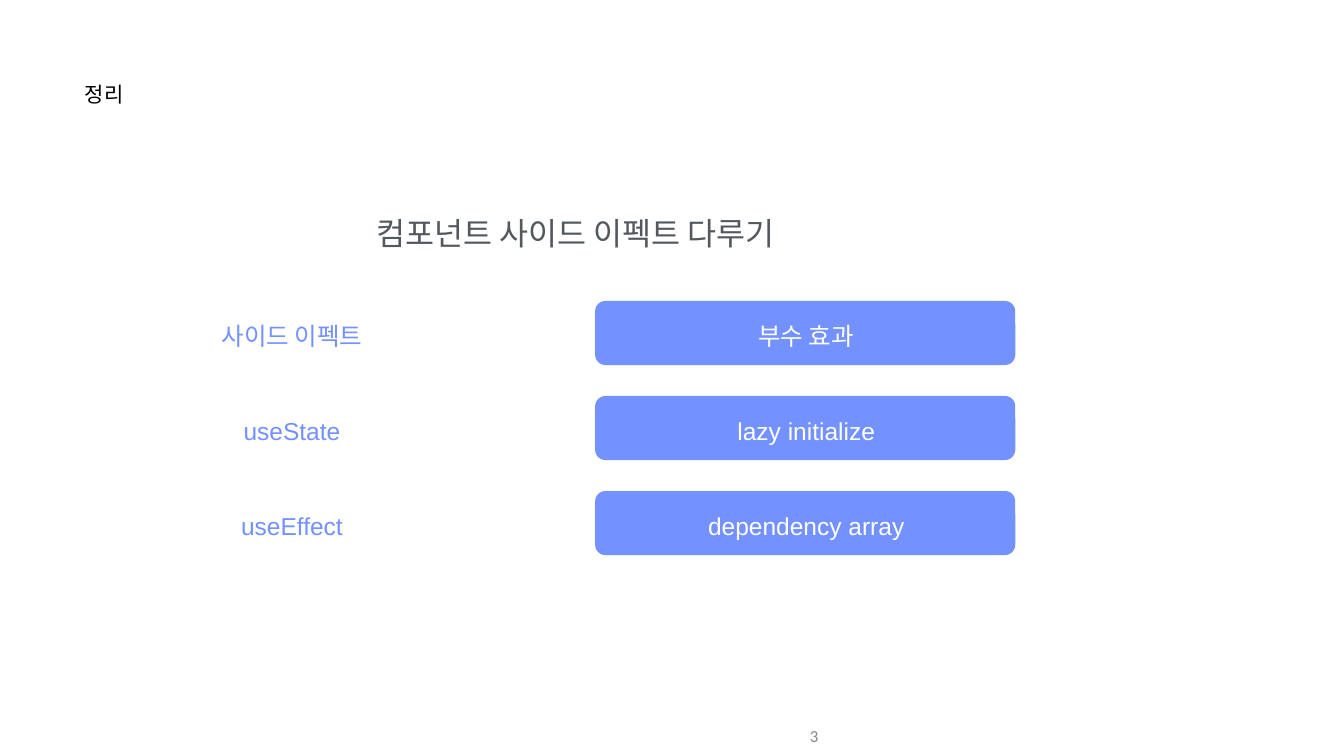
import pptx
import pptx.dml.color
import pptx.enum.shapes
import pptx.enum.text
import pptx.util

ALIGN = pptx.enum.text.PP_ALIGN
ANCHOR = pptx.enum.text.MSO_ANCHOR


def color(value):
    return pptx.dml.color.RGBColor.from_string(value)


class SummarySlide:
    accent = "7391FF"
    white = "FFFFFF"
    font = "Arial"

    def __init__(self, slide):
        self.slide = slide

    def lengths(self, values):
        return [pptx.util.Pt(value) for value in values]

    def fill_text(self, shape, text, size, fill, align, anchor, font, inset):
        frame = shape.text_frame
        frame.word_wrap = True
        frame.auto_size = pptx.enum.text.MSO_AUTO_SIZE.NONE
        frame.vertical_anchor = anchor
        horizontal, vertical = self.lengths(inset)
        frame.margin_left = frame.margin_right = horizontal
        frame.margin_top = frame.margin_bottom = vertical
        frame.text = text
        paragraph = frame.paragraphs[0]
        paragraph.alignment = align
        paragraph.font.name = font
        paragraph.font.size = pptx.util.Pt(size)
        paragraph.font.color.rgb = color(fill)

    def title(self, text, box):
        shape = self.slide.shapes.title
        shape.left, shape.top, shape.width, shape.height = self.lengths(box)
        self.fill_text(shape, text, 30, "000000", ALIGN.LEFT, ANCHOR.TOP, self.font, (1, 1))

    def text(self, text, box, size, fill, align=ALIGN.CENTER, anchor=ANCHOR.MIDDLE,
             font=font, inset=(1, 1)):
        shape = self.slide.shapes.add_textbox(*self.lengths(box))
        self.fill_text(shape, text, size, fill, align, anchor, font, inset)

    def panel(self, box):
        shape = self.slide.shapes.add_shape(
            pptx.enum.shapes.MSO_SHAPE.ROUNDED_RECTANGLE, *self.lengths(box))
        shape.adjustments[0] = 0.16
        shape.shadow.inherit = False
        shape.fill.solid()
        shape.fill.fore_color.rgb = color(self.accent)
        shape.line.fill.background()

    def row(self, top, term, meaning):
        self.panel((850, top, 600, 91.5))
        self.text(term, (192, top + 27, 450, 45), 35, self.accent)
        self.text(meaning, (851.5, top + 27, 600, 45), 35, self.white)


def main():
    presentation = pptx.Presentation()
    presentation.slide_width = pptx.util.Pt(1919.52)
    presentation.slide_height = pptx.util.Pt(1080)
    summary = SummarySlide(presentation.slides.add_slide(presentation.slide_layouts[5]))

    summary.title("정리", (120, 115, 350, 85))
    summary.text("컴포넌트 사이드 이펙트 다루기", (190, 305, 1263, 57), 45, "53585F",
                 anchor=ANCHOR.TOP)
    rows = [
        ("사이드 이펙트", "부수 효과"),
        ("useState", "lazy initialize"),
        ("useEffect", "dependency array"),
    ]
    for index, (term, meaning) in enumerate(rows):
        summary.row(430 + index * 135.75, term, meaning)
    summary.text("3", (744, 1023, 432, 57), 24, "888888", align=ALIGN.RIGHT,
                 font="Calibri", inset=(7.2, 3.6))
    presentation.save("out.pptx")


if __name__ == "__main__":
    main()
